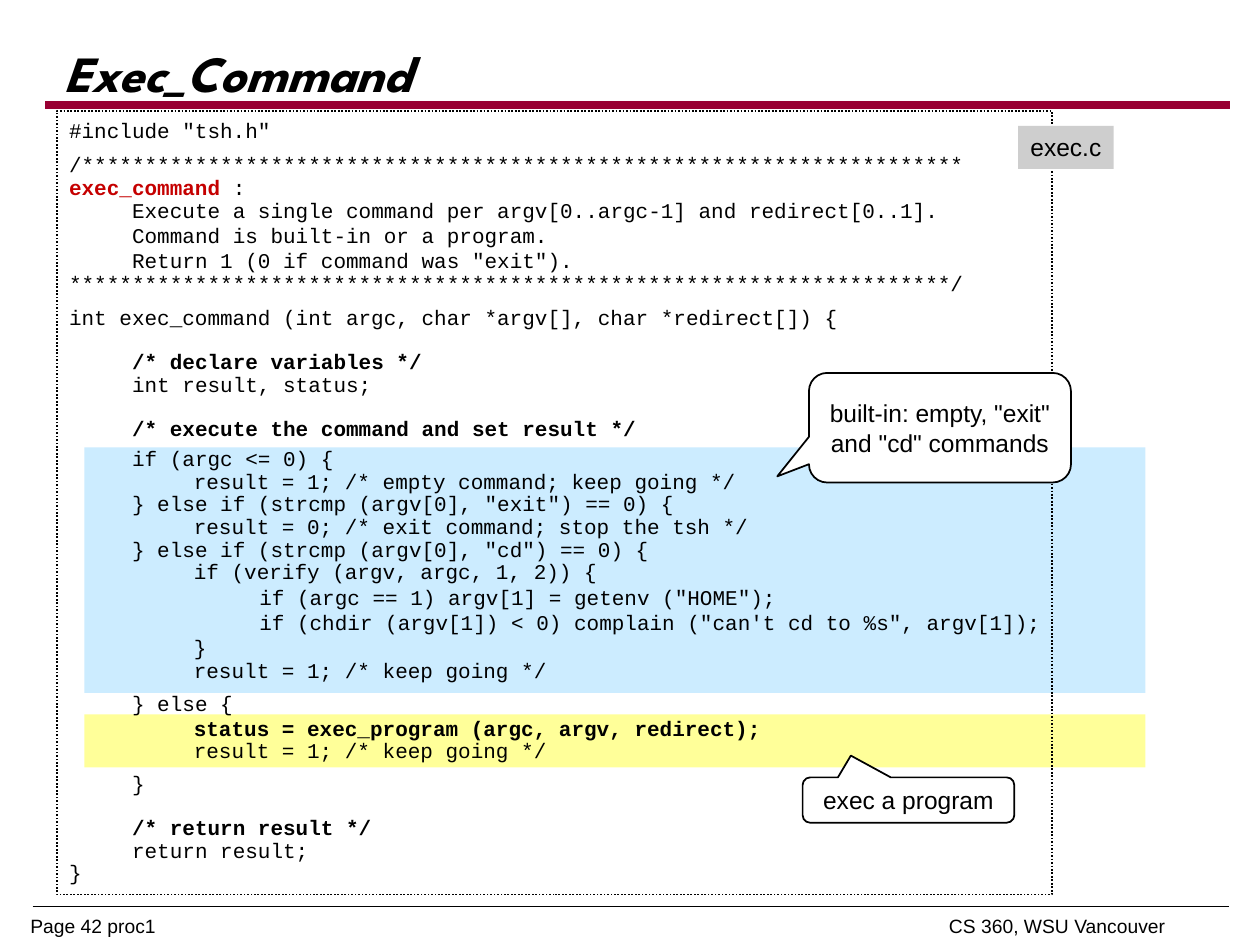
import pptx
import pptx.util
from lxml import etree
from pptx.dml.color import RGBColor
from pptx.enum.dml import MSO_LINE
from pptx.enum.shapes import MSO_CONNECTOR, MSO_SHAPE
from pptx.enum.text import MSO_ANCHOR, PP_ALIGN
from pptx.oxml.ns import qn
from pptx.util import Inches, Pt

BLACK = RGBColor(0x00, 0x00, 0x00)
WHITE = RGBColor(0xFF, 0xFF, 0xFF)
RED = RGBColor(0xC5, 0x00, 0x00)
CRIMSON = RGBColor(0x99, 0x00, 0x33)
BLUE = RGBColor(0xCC, 0xEC, 0xFF)
YELLOW = RGBColor(0xFF, 0xFF, 0x99)
GRAY = RGBColor(0xCE, 0xCE, 0xCE)

# Content
TITLE = "Exec_Command"
FOOTER = "Page 42 proc1\tCS 360, WSU Vancouver"
FILE_NAME = "exec.c"
STARS = "*" * 70

TIGHT, SINGLE, LOOSE, LOOSER = 0.9, 1.0, 1.2, 1.3  # line spacing
HALF, FULL = 6.8, 12.2  # points of space before a new part
PLAIN, BOLD = {}, {"bold": True}
HEADING = {"bold": True, "color": RED}

# Code lines: tab depth, line spacing, space before, runs of (text, format)
CODE = [
    (0, TIGHT, 0, [('#include "tsh.h"', PLAIN)]),
    (0, TIGHT, HALF, [("/" + STARS, PLAIN)]),
    (0, TIGHT, 0, [("exec_command", HEADING), (" :", PLAIN)]),
    (1, TIGHT, 0, [("Execute a single command per argv[0..argc-1] and redirect[0..1].", PLAIN)]),
    (1, SINGLE, 0, [("Command is built-in or a program.", PLAIN)]),
    (1, SINGLE, 0, [('Return 1 (0 if command was "exit").', PLAIN)]),
    (0, TIGHT, 0, [(STARS + "/", PLAIN)]),
    (0, TIGHT, HALF, [("int exec_command (int argc, char *argv[], char *redirect[]) {", PLAIN)]),
    (1, TIGHT, FULL, [("/* declare variables */", BOLD)]),
    (1, TIGHT, 0, [("int result, status;", PLAIN)]),
    (1, TIGHT, FULL, [("/* execute the command and set result */", BOLD)]),
    (1, LOOSE, 0, [("if (argc <= 0) {", PLAIN)]),
    (2, TIGHT, 0, [("result = 1; /* empty command; keep going */", PLAIN)]),
    (1, TIGHT, 0, [('} else if (strcmp (argv[0], "exit") == 0) {', PLAIN)]),
    (2, TIGHT, 0, [("result = 0; /* exit command; stop the tsh */", PLAIN)]),
    (1, TIGHT, 0, [('} else if (strcmp (argv[0], "cd") == 0) {', PLAIN)]),
    (2, TIGHT, 0, [("if (verify (argv, argc, 1, 2)) {", PLAIN)]),
    (3, SINGLE, 0, [('if (argc == 1) argv[1] = getenv ("HOME");', PLAIN)]),
    (3, SINGLE, 0, [('if (chdir (argv[1]) < 0) complain ("can\'t cd to %s", argv[1]);', PLAIN)]),
    (2, SINGLE, 0, [("}", PLAIN)]),
    (2, TIGHT, 0, [("result = 1; /* keep going */", PLAIN)]),
    (1, LOOSER, 0, [("} else {", PLAIN)]),
    (2, SINGLE, 0, [("status = exec_program (argc, argv, redirect);", BOLD)]),
    (2, TIGHT, 0, [("result = 1; /* keep going */", PLAIN)]),
    (1, LOOSER, 0, [("}", PLAIN)]),
    (1, TIGHT, FULL, [("/* return result */", BOLD)]),
    (1, TIGHT, 0, [("return result;", PLAIN)]),
    (0, TIGHT, 0, [("}", PLAIN)]),
]
CODE_TABS = [(0.5, "l"), (0.99, "l"), (1.51, "l")]

# Top, height and colour of the bands behind the code
BANDS = [(3.55, 1.95, BLUE), (5.67, 0.42, YELLOW)]

# Text, place, pointer tip and wrapping of the callouts
CALLOUTS = [
    ("exec a program", (6.37, 6.17, 1.68, 0.36), (-0.272, -0.981), False),
    ('built-in: empty, "exit" and "cd" commands', (6.42, 2.96, 2.08, 0.87), (-0.621, 0.444), True),
]

# Position and style of the rules: left, right, height on slide, colour, width
RULES = [(0.26, 9.75, 7.19, BLACK, 0.25), (0.36, 9.76, 0.83, CRIMSON, 4.5)]


def add_text(paragraph, text, font="Arial", size=14, color=BLACK, bold=False, italic=False):
    run = paragraph.add_run()
    run.text = text
    run.font.name = font
    run.font.size = Pt(size)
    run.font.color.rgb = color
    run.font.bold = bold
    run.font.italic = italic


def set_tabs(paragraph, stops):
    tab_list = etree.SubElement(paragraph._p.get_or_add_pPr(), qn("a:tabLst"))
    for position, align in stops:
        etree.SubElement(tab_list, qn("a:tab"), pos=str(Inches(position)), algn=align)


def set_frame(shape, margins=(0.1, 0.05), anchor=MSO_ANCHOR.MIDDLE, wrap=False):
    frame = shape.text_frame
    frame.margin_left = frame.margin_right = Inches(margins[0])
    frame.margin_top = frame.margin_bottom = Inches(margins[1])
    frame.vertical_anchor = anchor
    frame.word_wrap = wrap
    return frame


def add_box(slide, place, kind=MSO_SHAPE.RECTANGLE, fill=None, line=None):
    box = slide.shapes.add_shape(kind, *map(Inches, place))
    box.shadow.inherit = False
    if fill is None:
        box.fill.background()
    else:
        box.fill.solid()
        box.fill.fore_color.rgb = fill
    if line is None:
        box.line.fill.background()
    else:
        box.line.color.rgb = line
        box.line.width = Pt(1)
    return box


def main():
    deck = pptx.Presentation()
    deck.slide_width, deck.slide_height = Inches(10), Inches(7.5)
    slide = deck.slides.add_slide(deck.slide_layouts[5])

    # Footer and rules
    footer = slide.shapes.add_textbox(*map(Inches, (0.24, 7.26, 9.39, 0.24)))
    footer_line = set_frame(footer, (0, 0), MSO_ANCHOR.TOP, True).paragraphs[0]
    set_tabs(footer_line, [(9.01, "r")])
    add_text(footer_line, FOOTER, size=11)
    for left, right, top, color, width in RULES:
        rule = slide.shapes.add_connector(
            MSO_CONNECTOR.STRAIGHT, Inches(left), Inches(top), Inches(right), Inches(top))
        rule.line.color.rgb = color
        rule.line.width = Pt(width)
        etree.SubElement(rule._element.spPr, qn("a:effectLst"))

    # Highlight bands
    for top, height, color in BANDS:
        add_box(slide, (0.67, top, 8.42, height), fill=color)

    # Code listing
    listing = add_box(slide, (0.45, 0.88, 7.9, 6.22), line=BLACK)
    listing.line.dash_style = MSO_LINE.ROUND_DOT
    code_frame = set_frame(listing)
    for number, (depth, spacing, gap, runs) in enumerate(CODE):
        code_line = code_frame.add_paragraph() if number else code_frame.paragraphs[0]
        set_tabs(code_line, CODE_TABS)
        code_line.alignment = PP_ALIGN.LEFT
        code_line.line_spacing = spacing
        if gap:
            code_line.space_before = Pt(gap)
        if depth:
            add_text(code_line, "\t" * depth, font="Courier New", size=12)
        for text, style in runs:
            add_text(code_line, text, font="Courier New", size=12, **style)

    # Title
    title = slide.shapes.title
    title.left, title.top, title.width, title.height = map(Inches, (0.42, 0.31, 9.57, 0.6))
    title_line = set_frame(title, (0.09, 0.05), wrap=True).paragraphs[0]
    title_line.alignment = PP_ALIGN.LEFT
    title_line.line_spacing = 0.87
    add_text(title_line, TITLE, font="League Spartan", size=29, bold=True, italic=True)

    # File label
    label = add_box(slide, (8.08, 1, 0.76, 0.34), fill=GRAY)
    label_line = set_frame(label, anchor=MSO_ANCHOR.TOP).paragraphs[0]
    label_line.alignment = PP_ALIGN.LEFT
    add_text(label_line, FILE_NAME)

    # Callouts
    for text, place, tip, wrap in CALLOUTS:
        callout = add_box(slide, place, MSO_SHAPE.ROUNDED_RECTANGULAR_CALLOUT, WHITE, BLACK)
        callout.adjustments[0], callout.adjustments[1] = tip
        callout_line = set_frame(callout, wrap=wrap).paragraphs[0]
        callout_line.alignment = PP_ALIGN.CENTER
        add_text(callout_line, text)

    deck.save("out.pptx")


if __name__ == "__main__":
    main()
